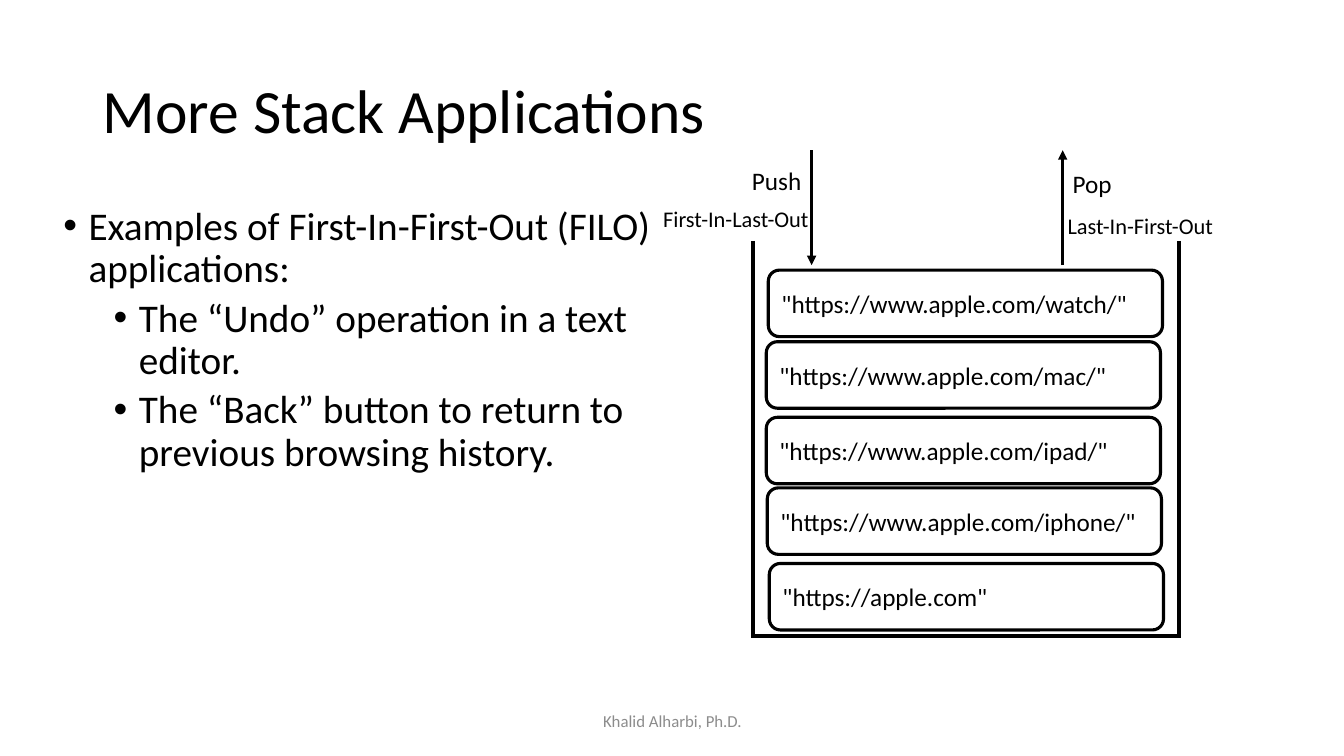
from lxml import etree
from pptx import Presentation
from pptx.dml.color import RGBColor
from pptx.enum.shapes import MSO_CONNECTOR as Connector, MSO_SHAPE as Preset
from pptx.enum.text import MSO_ANCHOR as Anchor, PP_ALIGN as Align
from pptx.oxml.ns import qn
from pptx.util import Inches, Pt

COLORS = {"ink": "000000", "footer": "8C8C8C"}
FONT = "Calibri"

# Grid: square cells, 133.3 columns by 75 rows
CELL = Inches(0.1)
COLUMNS, ROWS = 133.3, 75

# Stack container and its entries, as (left column, top row, text)
WALL_LEFT, WALL_RIGHT, WALL_TOP, FLOOR = 74.7, 116.9, 23.9, 63.1
ENTRY_WIDTH, ENTRY_HEIGHT = 39.1, 6.6
ENTRIES = [
    (76.3, 55.9, '"https://apple.com"'),
    (76.1, 48.4, '"https://www.apple.com/iphone/"'),
    (76, 41.4, '"https://www.apple.com/ipad/"'),
    (76, 33.9, '"https://www.apple.com/mac/"'),
    (76.2, 26.8, '"https://www.apple.com/watch/"'),
]
ARROW_TOP, ARROW_BOTTOM = 14.9, 26.3
PUSH_COLUMN, POP_COLUMN = 80.5, 105.4

# Labels beside the arrows, as (left, top, width, height, size, text)
LABELS = [
    (73.6, 15.9, 7.5, 4, 18, "Push"),
    (105.4, 16.2, 7.5, 4, 18, "Pop"),
    (64.8, 19.9, 16.7, 3.7, 16, "First-In-Last-Out"),
    (104.9, 20.6, 16.7, 3.7, 16, "Last-In-First-Out"),
]

# Bullets, as (level, text)
BULLETS = [
    (0, "Examples of First-In-First-Out (FILO) applications:"),
    (1, "The “Undo” operation in a text editor."),
    (1, "The “Back” button to return to previous browsing history."),
]


def grid(*cells):
    return [round(cell * CELL) for cell in cells]


def color(name):
    return RGBColor.from_string(COLORS[name])


def add_run(paragraph, text, size, ink="ink"):
    run = paragraph.add_run()
    run.text = text
    run.font.name = FONT
    run.font.size = Pt(size)
    run.font.color.rgb = color(ink)


def add_box(slide, left, top, width, height, anchor=Anchor.TOP, wrap=True):
    frame = slide.shapes.add_textbox(*grid(left, top, width, height)).text_frame
    frame.word_wrap = wrap
    frame.vertical_anchor = anchor
    return frame


def add_bullets(frame, bullets):
    for index, (level, text) in enumerate(bullets):
        paragraph = frame.add_paragraph() if index else frame.paragraphs[0]
        paragraph.level = level
        properties = paragraph._p.get_or_add_pPr()
        properties.set("marL", str(Inches(0.25 + 0.5 * level)))
        properties.set("indent", str(-Inches(0.25)))
        etree.SubElement(properties, qn("a:buFont"), typeface="Arial")
        etree.SubElement(properties, qn("a:buChar"), char="•")
        paragraph.line_spacing = 0.9
        paragraph.space_before = Pt(5 if index else 0)
        add_run(paragraph, text, 28)


def add_line(slide, start, end, weight, arrow=False):
    connector = slide.shapes.add_connector(
        Connector.STRAIGHT, *grid(*start), *grid(*end))
    connector.line.color.rgb = color("ink")
    connector.line.width = Pt(weight)
    if arrow:
        etree.SubElement(connector.line._get_or_add_ln(),
                         qn("a:tailEnd"), type="triangle")
    etree.SubElement(connector._element.spPr, qn("a:effectLst"))


def add_entry(slide, left, top, text):
    shape = slide.shapes.add_shape(
        Preset.ROUNDED_RECTANGLE, *grid(left, top, ENTRY_WIDTH, ENTRY_HEIGHT))
    shape.shadow.inherit = False
    shape.fill.background()
    shape.line.color.rgb = color("ink")
    shape.line.width = Pt(2.25)
    shape.text_frame.word_wrap = True
    shape.text_frame.vertical_anchor = Anchor.MIDDLE
    paragraph = shape.text_frame.paragraphs[0]
    paragraph.alignment = Align.LEFT
    add_run(paragraph, text, 18)


def main():
    presentation = Presentation()
    presentation.slide_width, presentation.slide_height = grid(COLUMNS, ROWS)
    slide = presentation.slides.add_slide(presentation.slide_layouts[6])

    # Title, bullets and footer
    title = add_box(slide, 9.2, 4, 115, 14.5, Anchor.MIDDLE).paragraphs[0]
    title.line_spacing = 0.9
    add_run(title, "More Stack Applications", 44)
    add_bullets(add_box(slide, 5.3, 20, 60.6, 47.6), BULLETS)
    footer = add_box(slide, 44.2, 69.5, 45, 4, Anchor.MIDDLE).paragraphs[0]
    footer.alignment = Align.CENTER
    add_run(footer, "Khalid Alharbi, Ph.D.", 12, "footer")

    # Open container: two walls and a floor
    for wall in (WALL_LEFT, WALL_RIGHT):
        add_line(slide, (wall, WALL_TOP), (wall, FLOOR + 0.2), 3)
    add_line(slide, (WALL_RIGHT, FLOOR), (WALL_LEFT, FLOOR), 3)

    # Stack entries, from the bottom up
    for entry in ENTRIES:
        add_entry(slide, *entry)

    # Push and pop arrows with their labels
    add_line(slide, (PUSH_COLUMN, ARROW_TOP), (PUSH_COLUMN, ARROW_BOTTOM), 2.25, True)
    add_line(slide, (POP_COLUMN, ARROW_BOTTOM), (POP_COLUMN, ARROW_TOP), 2.25, True)
    for left, top, width, height, size, text in LABELS:
        label = add_box(slide, left, top, width, height, wrap=False)
        add_run(label.paragraphs[0], text, size)

    presentation.save("out.pptx")


if __name__ == "__main__":
    main()
